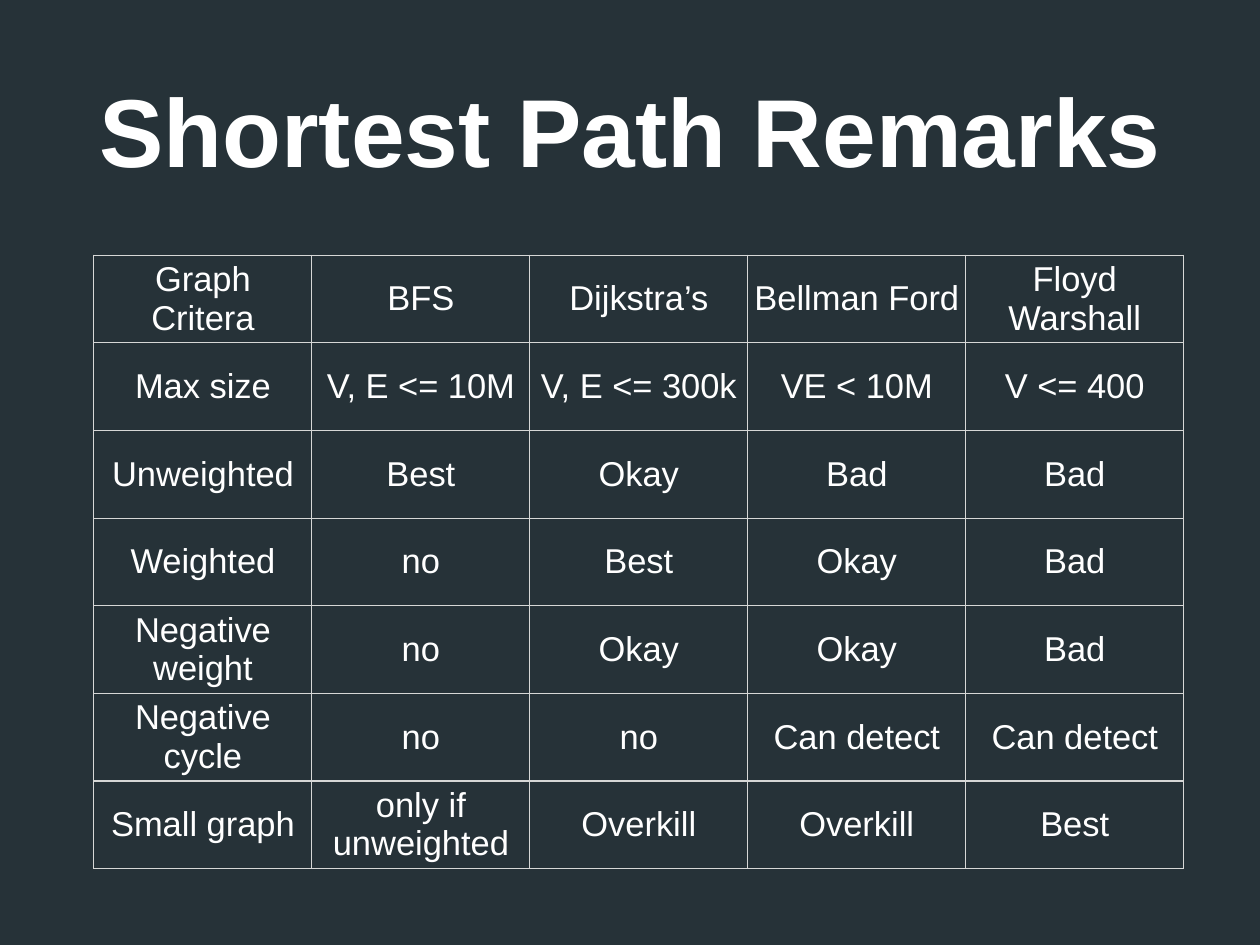
from lxml.etree import SubElement
from pptx import Presentation
from pptx.dml.color import RGBColor
from pptx.enum.text import MSO_ANCHOR, MSO_AUTO_SIZE, PP_ALIGN
from pptx.oxml.ns import qn
from pptx.util import Inches, Pt


def rgb(color):
    return RGBColor.from_string(color)


class Deck:
    font = "Arial"
    text_color = "FFFFFF"
    background = "263238"
    border = "D6D7D6"
    inset = Inches(0.06)

    def __init__(self, prs):
        self.s = prs.slides.add_slide(prs.slide_layouts[5])
        fill = self.s.background.fill
        fill.solid()
        fill.fore_color.rgb = rgb(self.background)

    def set_text(self, tf, text, size, bold=False):
        tf.text = text
        tf.word_wrap = True
        p = tf.paragraphs[0]
        p.alignment = PP_ALIGN.CENTER
        for r in p.runs:
            r.font.name = self.font
            r.font.size = Pt(size)
            r.font.bold = bold
            r.font.color.rgb = rgb(self.text_color)

    def set_insets(self, box):
        box.margin_left = box.margin_right = self.inset
        box.margin_top = box.margin_bottom = self.inset
        box.vertical_anchor = MSO_ANCHOR.MIDDLE

    def title(self, text, left, top, width, height, size):
        sp = self.s.shapes.title
        sp.left, sp.top = Inches(left), Inches(top)
        sp.width, sp.height = Inches(width), Inches(height)
        tf = sp.text_frame
        self.set_text(tf, text, size, bold=True)
        self.set_insets(tf)
        tf.auto_size = MSO_AUTO_SIZE.NONE

    def outline(self, cell):
        tcPr = cell._tc.get_or_add_tcPr()
        for side in ("a:lnL", "a:lnR", "a:lnT", "a:lnB"):
            ln = SubElement(tcPr, qn(side), w=str(Pt(1)))
            solid = SubElement(ln, qn("a:solidFill"))
            SubElement(solid, qn("a:srgbClr"), val=self.border)

    def table(self, rows, left, top, col_width, row_height, size):
        n_rows, n_cols = len(rows), len(rows[0])
        table = self.s.shapes.add_table(
            n_rows, n_cols, Inches(left), Inches(top),
            Inches(col_width * n_cols), Inches(row_height * n_rows)).table
        table.first_row = table.horz_banding = False
        for row, texts in zip(table.rows, rows):
            row.height = Inches(row_height)
            for cell, text in zip(row.cells, texts):
                self.set_text(cell.text_frame, text, size)
                self.set_insets(cell)
                self.outline(cell)
                cell.fill.background()
        for col in table.columns:
            col.width = Inches(col_width)


prs = Presentation()
prs.slide_width, prs.slide_height = Inches(14.22), Inches(10.67)
deck = Deck(prs)

# Title
deck.title("Shortest Path Remarks", 1.04, 0.28, 12.14, 2.36, size=78.4)

# Algorithm comparison
algorithms = [
    ["Graph Critera", "BFS", "Dijkstra’s", "Bellman Ford", "Floyd Warshall"],
    ["Max size", "V, E <= 10M", "V, E <= 300k", "VE < 10M", "V <= 400"],
    ["Unweighted", "Best", "Okay", "Bad", "Bad"],
    ["Weighted", "no", "Best", "Okay", "Bad"],
    ["Negative weight", "no", "Okay", "Okay", "Bad"],
    ["Negative cycle", "no", "no", "Can detect", "Can detect"],
    ["Small graph", "only if unweighted", "Overkill", "Overkill", "Best"],
]
deck.table(algorithms, 1.06, 2.88, col_width=2.46, row_height=0.99, size=28)

prs.save("out.pptx")
